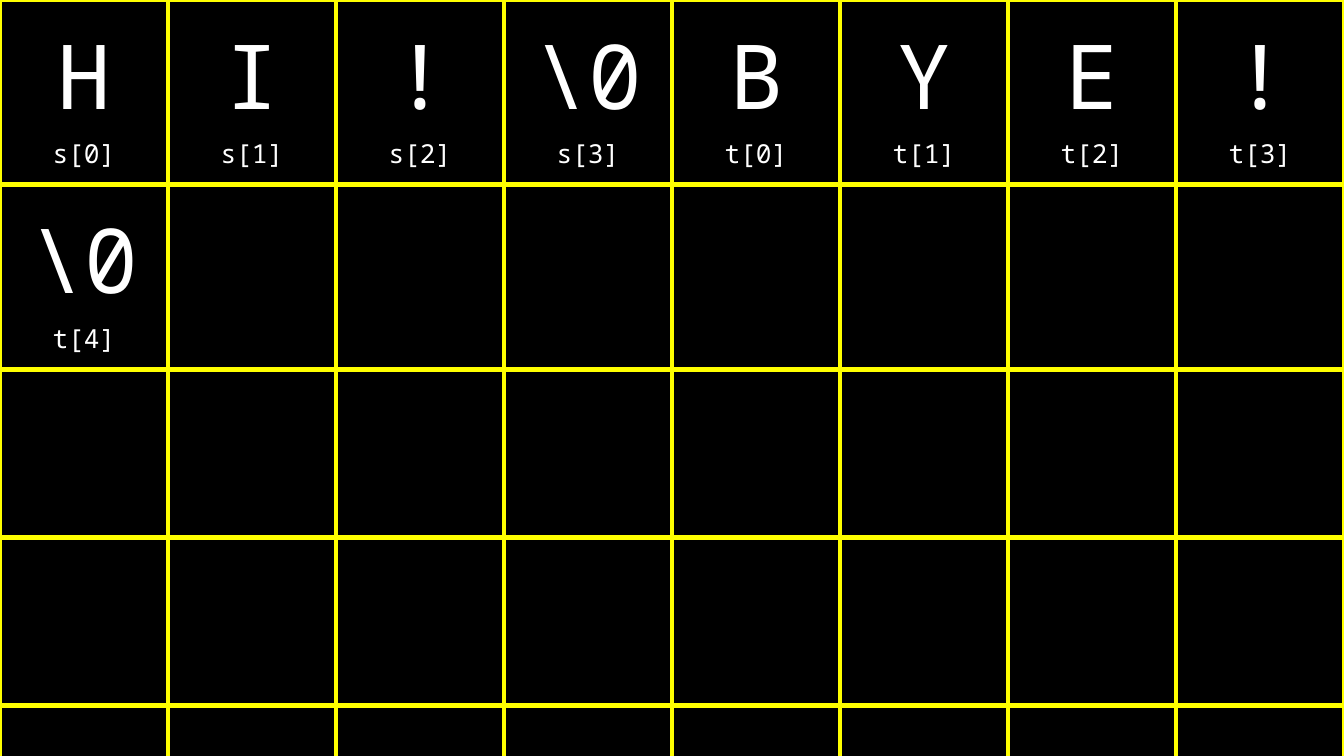
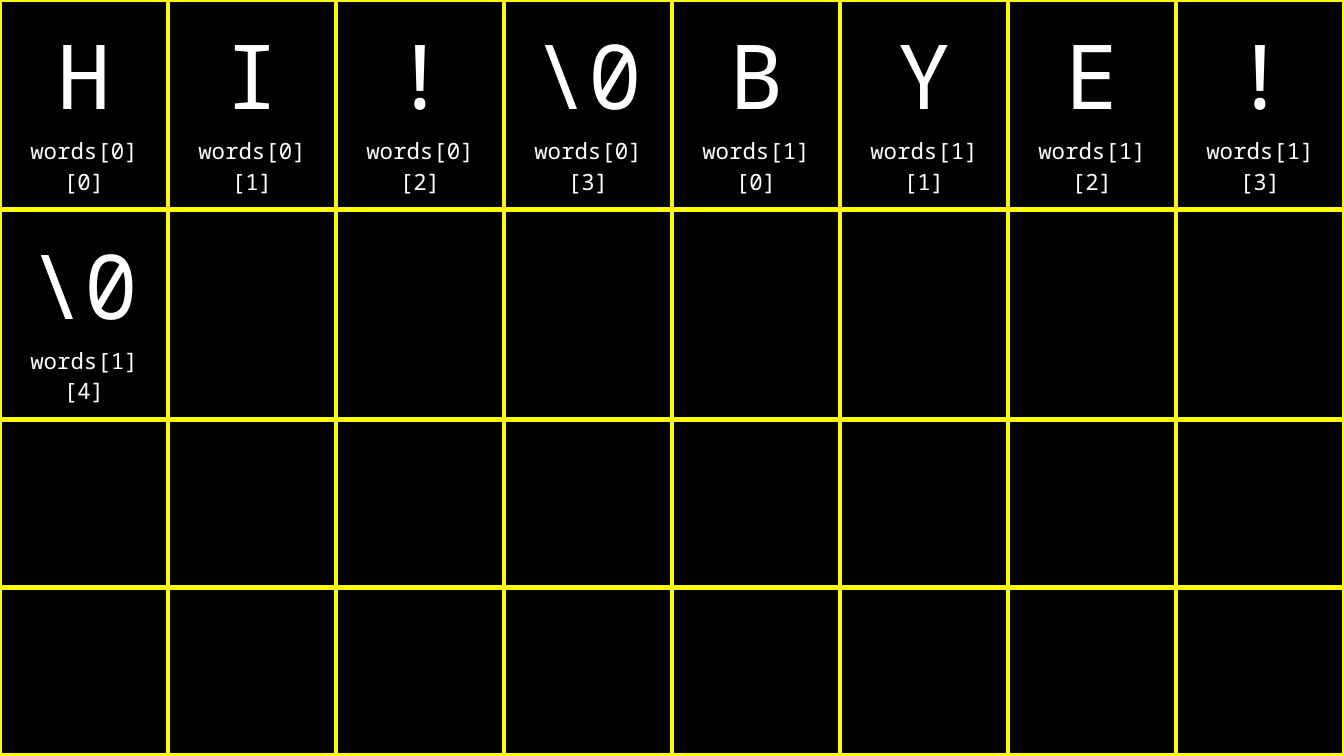
from lxml import etree
from pptx import Presentation
from pptx.dml.color import RGBColor
from pptx.enum.text import MSO_ANCHOR, PP_ALIGN
from pptx.oxml.ns import qn
from pptx.util import Inches, Pt

BOTTOM = MSO_ANCHOR.BOTTOM
CENTER = PP_ALIGN.CENTER

COLORS = {"background": "000000", "grid": "FFFF00", "text": "FFFFFF"}
FONT = "Noto Sans Mono"
BYTE_SIZE = 48
GRID_WIDTH = 3
COLUMNS, ROWS = 8, 5
CELL_SIDE = 1.25
CELL_MARGIN = 0.1
SLIDE_WIDTH = 10
BLANK_LAYOUT = 6

STRINGS = (["H", "I", "!", r"\0"], ["B", "Y", "E", "!", r"\0"])


def rgb(name):
    return RGBColor.from_string(COLORS[name])


def add_borders(cell):
    properties = cell._tc.get_or_add_tcPr()
    for side in ("a:lnL", "a:lnR", "a:lnT", "a:lnB"):
        line = etree.SubElement(properties, qn(side), w=str(Pt(GRID_WIDTH)))
        fill = etree.SubElement(line, qn("a:solidFill"))
        etree.SubElement(fill, qn("a:srgbClr"), val=COLORS["grid"])


def format_cell(cell):
    add_borders(cell)
    cell.fill.background()
    cell.vertical_anchor = BOTTOM
    cell.margin_left = cell.margin_right = Inches(CELL_MARGIN)
    cell.margin_top = cell.margin_bottom = Inches(CELL_MARGIN)


def write_line(paragraph, text, size):
    paragraph.text = text
    paragraph.alignment = CENTER
    paragraph.font.name = FONT
    paragraph.font.size = Pt(size)
    paragraph.font.color.rgb = rgb("text")


def add_memory_slide(prs, string_names, label_size):
    """Lay the strings out byte by byte, each labelled with its index."""
    slide = prs.slides.add_slide(prs.slide_layouts[BLANK_LAYOUT])
    slide.background.fill.solid()
    slide.background.fill.fore_color.rgb = rgb("background")

    memory = slide.shapes.add_table(
        ROWS, COLUMNS, Inches(0), Inches(0),
        Inches(COLUMNS * CELL_SIDE), Inches(ROWS * CELL_SIDE)).table
    memory.first_row = False
    memory.horz_banding = False
    for cell in memory.iter_cells():
        format_cell(cell)

    labelled_bytes = [
        (byte, f"{name}[{index}]")
        for name, string in zip(string_names, STRINGS)
        for index, byte in enumerate(string)
    ]
    for address, (byte, label) in enumerate(labelled_bytes):
        frame = memory.cell(*divmod(address, COLUMNS)).text_frame
        write_line(frame.paragraphs[0], byte, BYTE_SIZE)
        write_line(frame.add_paragraph(), label, label_size)


def main():
    prs = Presentation()
    prs.slide_width = Inches(SLIDE_WIDTH)
    prs.slide_height = Inches(SLIDE_WIDTH * 9 / 16)
    add_memory_slide(prs, ("s", "t"), label_size=14)
    add_memory_slide(prs, ("words[0]", "words[1]"), label_size=12)
    prs.save("out.pptx")


if __name__ == "__main__":
    main()
